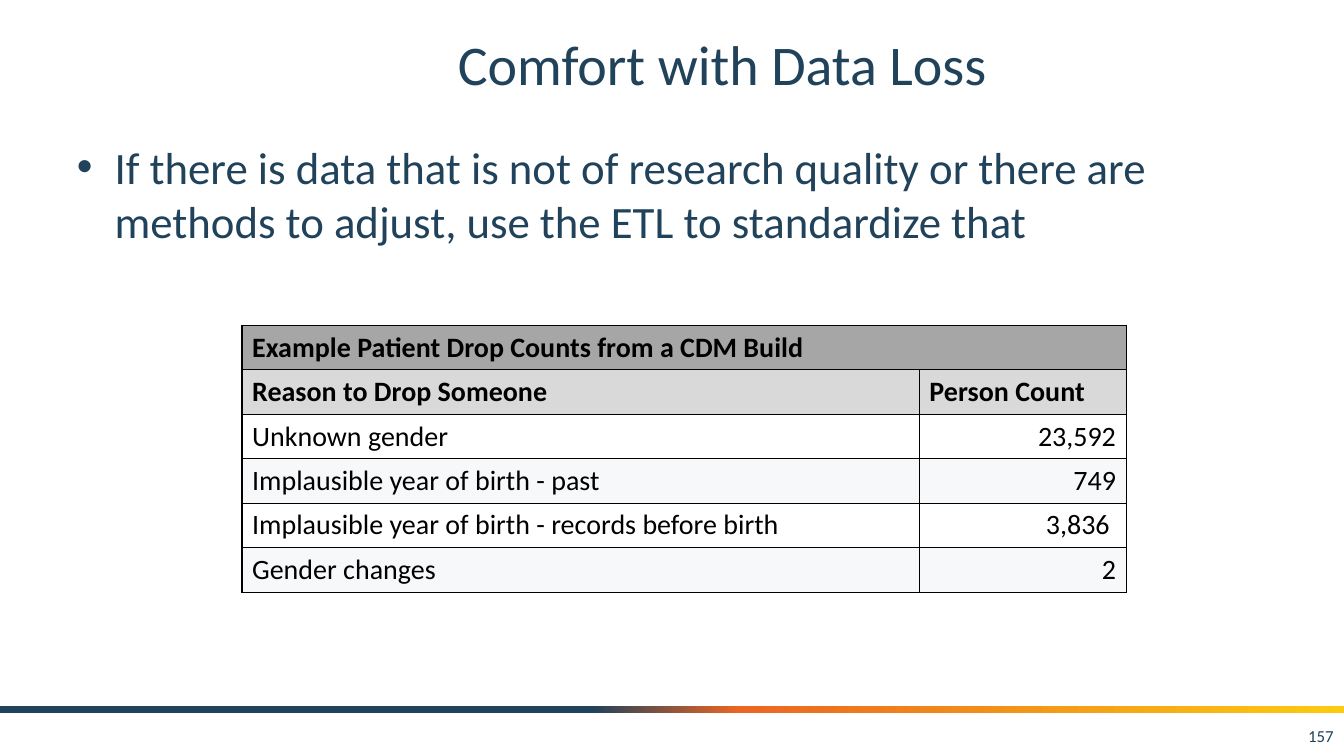
from copy import deepcopy

from lxml.etree import SubElement
from pptx import Presentation
from pptx.dml.color import RGBColor as RGB
from pptx.enum.shapes import MSO_SHAPE as Shape
from pptx.enum.text import MSO_ANCHOR as Anchor, PP_ALIGN as Align
from pptx.oxml.ns import qn
from pptx.util import Cm, Pt

# Content
TITLE = "Comfort with Data Loss"
BULLET = ("If there is data that is not of research quality or there are "
          "methods to adjust, use the ETL to standardize that")
PAGE_NUMBER = "157"
DROP_COUNTS = [
    ("Example Patient Drop Counts from a CDM Build", ""),
    ("Reason to Drop Someone", "Person Count"),
    ("Unknown gender", "23,592"),
    ("Implausible year of birth - past", "749"),
    ("Implausible year of birth - records before birth", "3,836 "),
    ("Gender changes", "2"),
]
HEADER_ROWS = 2

# Look
COLORS = {"navy": "20425A", "orange": "EB6622", "yellow": "FCCB10",
          "black": "000000", "caption": "A6A6A6", "header": "D9D9D9",
          "odd": "F6F8FA", "even": "FFFFFF"}
BAND_STOPS = [(0.44, "navy"), (0.55, "orange"), (1.0, "yellow")]
COLUMN_WIDTHS = [Cm(17.07), Cm(5.21)]
ROW_HEIGHT = Cm(1.12)
FONT = "Calibri"


def color(name):
    return RGB.from_string(COLORS[name])


def write(paragraph, text, size, color_name="navy", align=Align.LEFT, **extra):
    paragraph.alignment = align
    run = paragraph.add_run()
    run.text = text
    for key, value in {"name": FONT, "size": Pt(size), **extra}.items():
        setattr(run.font, key, value)
    run.font.color.rgb = color(color_name)


def add_text_frame(slide, box, anchor):
    frame = slide.shapes.add_textbox(*map(Cm, box)).text_frame
    frame.word_wrap = True
    frame.vertical_anchor = anchor
    return frame


def add_band(slide, width):
    band = slide.shapes.add_shape(Shape.RECTANGLE, 0, Cm(17.78), width, Cm(0.2))
    band.shadow.inherit = False
    band.line.fill.background()
    band.fill.gradient()
    band.fill.gradient_angle = 0
    stop_list = next(band.element.iter(qn("a:gsLst")))
    stop_list.append(deepcopy(stop_list[-1]))
    for stop, (position, name) in zip(band.fill.gradient_stops, BAND_STOPS):
        stop.position = position
        stop.color.rgb = color(name)


def add_bullet(paragraph, indent):
    properties = paragraph._p.get_or_add_pPr()
    properties.set("marL", str(indent))
    properties.set("indent", str(-indent))
    SubElement(properties, qn("a:buFont"), typeface="Arial")
    SubElement(properties, qn("a:buChar"), char="•")


def add_borders(cell):
    properties = cell._tc.get_or_add_tcPr()
    for index, side in enumerate(("a:lnL", "a:lnR", "a:lnT", "a:lnB")):
        line = SubElement(properties, qn(side), w=str(Pt(1)))
        fill = SubElement(line, qn("a:solidFill"))
        SubElement(fill, qn("a:srgbClr"), val=COLORS["black"])
        properties.insert(index, line)


def row_fill(row):
    if row < HEADER_ROWS:
        return ("caption", "header")[row]
    return "odd" if row % 2 else "even"


def add_drop_table(slide):
    row_count = len(DROP_COUNTS)
    table = slide.shapes.add_table(
        row_count, len(COLUMN_WIDTHS), Cm(6.1), Cm(8.2),
        sum(COLUMN_WIDTHS), ROW_HEIGHT * row_count).table
    for column, width in zip(table.columns, COLUMN_WIDTHS):
        column.width = width
    table.cell(0, 0).merge(table.cell(0, 1))
    for row, texts in enumerate(DROP_COUNTS):
        table.rows[row].height = ROW_HEIGHT
        is_header = row < HEADER_ROWS
        for column, text in enumerate(texts):
            cell = table.cell(row, column)
            cell.vertical_anchor = Anchor.MIDDLE
            cell.fill.solid()
            cell.fill.fore_color.rgb = color(row_fill(row))
            add_borders(cell)
            if text:
                is_count = column == 1 and not is_header
                write(cell.text_frame.paragraphs[0], text, 20, "black",
                      Align.RIGHT if is_count else Align.LEFT, bold=is_header)


def main():
    presentation = Presentation()
    presentation.slide_width, presentation.slide_height = Cm(33.87), Cm(19.05)
    slide = presentation.slides.add_slide(presentation.slide_layouts[6])

    # Footer band and page number
    add_band(slide, presentation.slide_width)
    footer = add_text_frame(slide, (25.96, 18.03, 7.9, 1.02), Anchor.MIDDLE)
    write(footer.paragraphs[0], PAGE_NUMBER, 12, align=Align.RIGHT)

    # Title
    title = add_text_frame(slide, (4.23, 0.43, 27.94, 2.34), Anchor.MIDDLE)
    write(title.paragraphs[0], TITLE, 40, align=Align.CENTER)

    # Bullet
    body = add_text_frame(slide, (1.69, 3.39, 30.48, 13.63), Anchor.TOP)
    add_bullet(body.paragraphs[0], Cm(0.95))
    write(body.paragraphs[0], BULLET, 32)

    # Table
    add_drop_table(slide)
    presentation.save("out.pptx")


if __name__ == "__main__":
    main()
